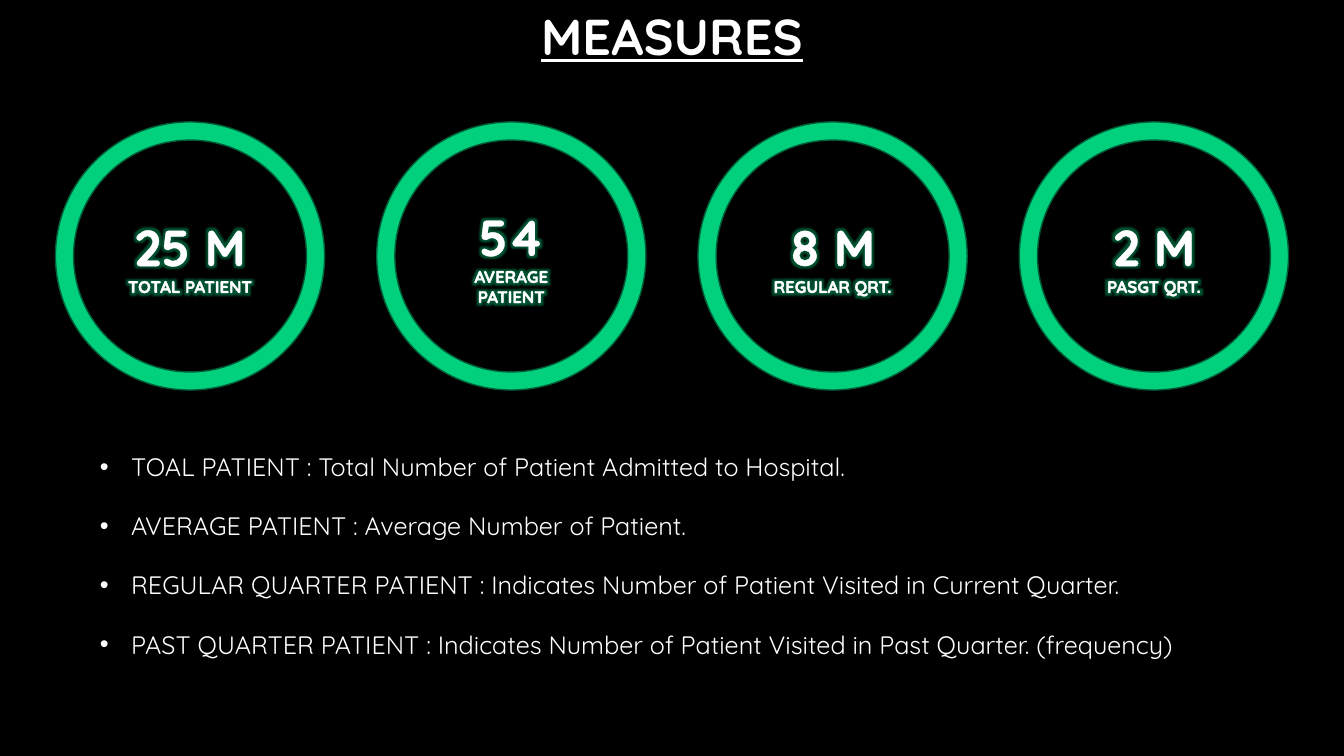
from pptx import Presentation
from pptx.dml.color import RGBColor
from pptx.enum.shapes import MSO_SHAPE as Preset
from pptx.enum.text import MSO_ANCHOR as Anchor, MSO_AUTO_SIZE as AutoSize, PP_ALIGN as Align
from pptx.oxml import parse_xml
from pptx.oxml.ns import nsdecls
from pptx.util import Inches, Pt

WHITE = RGBColor(0xFF, 0xFF, 0xFF)
BLACK = RGBColor(0x00, 0x00, 0x00)
GREEN = RGBColor(0x01, 0xD1, 0x7D)
DARK_GREEN = RGBColor(0x00, 0x5C, 0x37)

TITLE_FORMAT = {"name": "Quicksand", "size": Pt(36), "bold": True, "underline": True}
LIST_FORMAT = {"name": "Quicksand", "size": Pt(18), "bold": False}
VALUE_FORMAT = {"name": "Quicksand", "size": Pt(36), "bold": True}
LABEL_FORMAT = {"name": "Quicksand", "size": Pt(12), "bold": True}

MEASURES = [
    ("25 M", "TOTAL PATIENT"),
    ("54", "AVERAGE PATIENT"),
    ("8 M", "REGULAR QRT."),
    ("2 M", "PASGT QRT."),
]
DEFINITIONS = [
    "TOAL PATIENT : Total Number of Patient Admitted to Hospital.",
    "AVERAGE PATIENT : Average Number of Patient.",
    "REGULAR QUARTER PATIENT : Indicates Number of Patient Visited in Current Quarter.",
    "PAST QUARTER PATIENT : Indicates Number of Patient Visited in Past Quarter. (frequency)",
]


def place(shape, box):
    shape.left, shape.top, shape.width, shape.height = map(Inches, box)


def add_span(para, text, formats):
    span = para.add_run()
    span.text = text
    for name, value in formats.items():
        setattr(span.font, name, value)
    span.font.color.rgb = WHITE
    return span


def add_glow(span):
    """Give the letters a thin white outline and a green glow."""
    properties = span.font._element
    properties.insert(0, parse_xml(
        f'<a:ln {nsdecls("a")} w="{Pt(0.75)}"><a:solidFill>'
        f'<a:srgbClr val="{WHITE}"/></a:solidFill></a:ln>'))
    properties.insert(2, parse_xml(
        f'<a:effectLst {nsdecls("a")}><a:glow rad="{Pt(8)}"><a:srgbClr val="{GREEN}">'
        '<a:alpha val="40000"/></a:srgbClr></a:glow></a:effectLst>'))


def fill_title(title, box):
    place(title, box)
    frame = title.text_frame
    frame.auto_size = AutoSize.NONE
    frame.vertical_anchor = Anchor.MIDDLE
    para = frame.paragraphs[0]
    para.alignment = Align.CENTER
    para.line_spacing = 0.9
    add_span(para, "MEASURES", TITLE_FORMAT)


def fill_definitions(body, box):
    place(body, box)
    frame = body.text_frame
    frame.auto_size = AutoSize.NONE
    frame.vertical_anchor = Anchor.TOP
    for index, text in enumerate(DEFINITIONS):
        para = frame.add_paragraph() if index else frame.paragraphs[0]
        para.space_before = Pt(0)
        para.space_after = Pt(20.6)
        properties = para._p.get_or_add_pPr()
        properties.set("marL", str(Inches(0.31)))
        properties.set("indent", str(Inches(-0.31)))
        add_span(para, text, LIST_FORMAT)


def add_disc(group, box, color):
    disc = group.shapes.add_shape(Preset.OVAL, *map(Inches, box))
    disc.shadow.inherit = False
    disc.fill.solid()
    disc.fill.fore_color.rgb = color
    disc.line.color.rgb = DARK_GREEN
    disc.line.width = Pt(1)
    return disc


def add_measure(slide, box, value, label):
    """A green ring around a black disc that carries the figure."""
    left, top, width, height = box
    rim = 0.18
    group = slide.shapes.add_group_shape()
    add_disc(group, box, GREEN)
    disc = add_disc(group, (left + rim, top + rim, width - 2 * rim, height - 2 * rim), BLACK)
    frame = disc.text_frame
    frame.word_wrap = True
    frame.vertical_anchor = Anchor.MIDDLE
    lines = [(value, VALUE_FORMAT), (label, LABEL_FORMAT)]
    for index, (text, formats) in enumerate(lines):
        para = frame.add_paragraph() if index else frame.paragraphs[0]
        para.alignment = Align.CENTER
        add_glow(add_span(para, text, formats))


def add_measures(slide, box):
    """Spread the rings evenly across the box."""
    left, top, width, height = box
    ring = 2.67
    pitch = (width - ring) / (len(MEASURES) - 1)
    for index, (value, label) in enumerate(MEASURES):
        add_measure(slide, (left + index * pitch, top, ring, height), value, label)


def main():
    deck = Presentation()
    deck.slide_width, deck.slide_height = Inches(13.33), Inches(7.5)
    slide = deck.slides.add_slide(deck.slide_layouts[1])

    # Black page
    page = slide.background.fill
    page.solid()
    page.fore_color.rgb = BLACK

    # Title, definitions and rings
    fill_title(slide.shapes.title, (3.56, 0.14, 6.21, 0.5))
    fill_definitions(slide.placeholders[1], (0.89, 4.43, 11.56, 2.22))
    add_measures(slide, (0.55, 1.21, 12.23, 2.66))

    deck.save("out.pptx")


if __name__ == "__main__":
    main()
